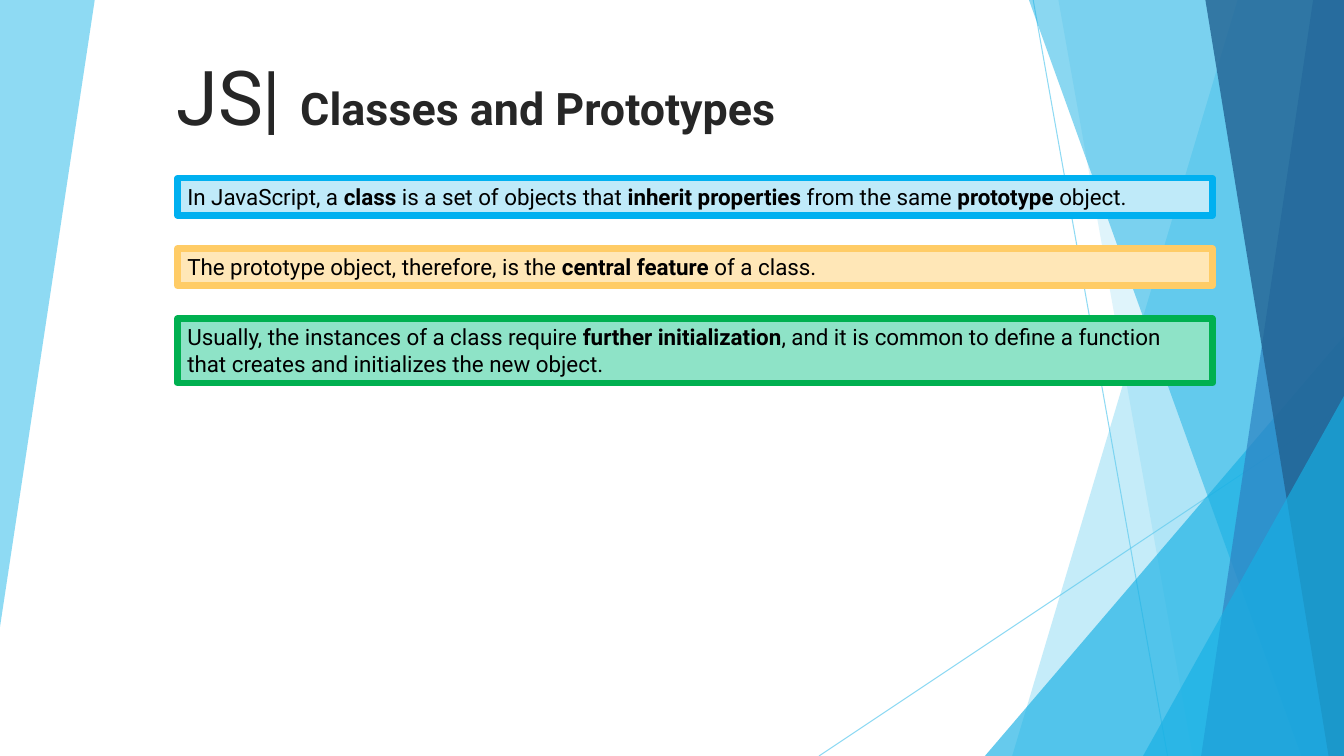
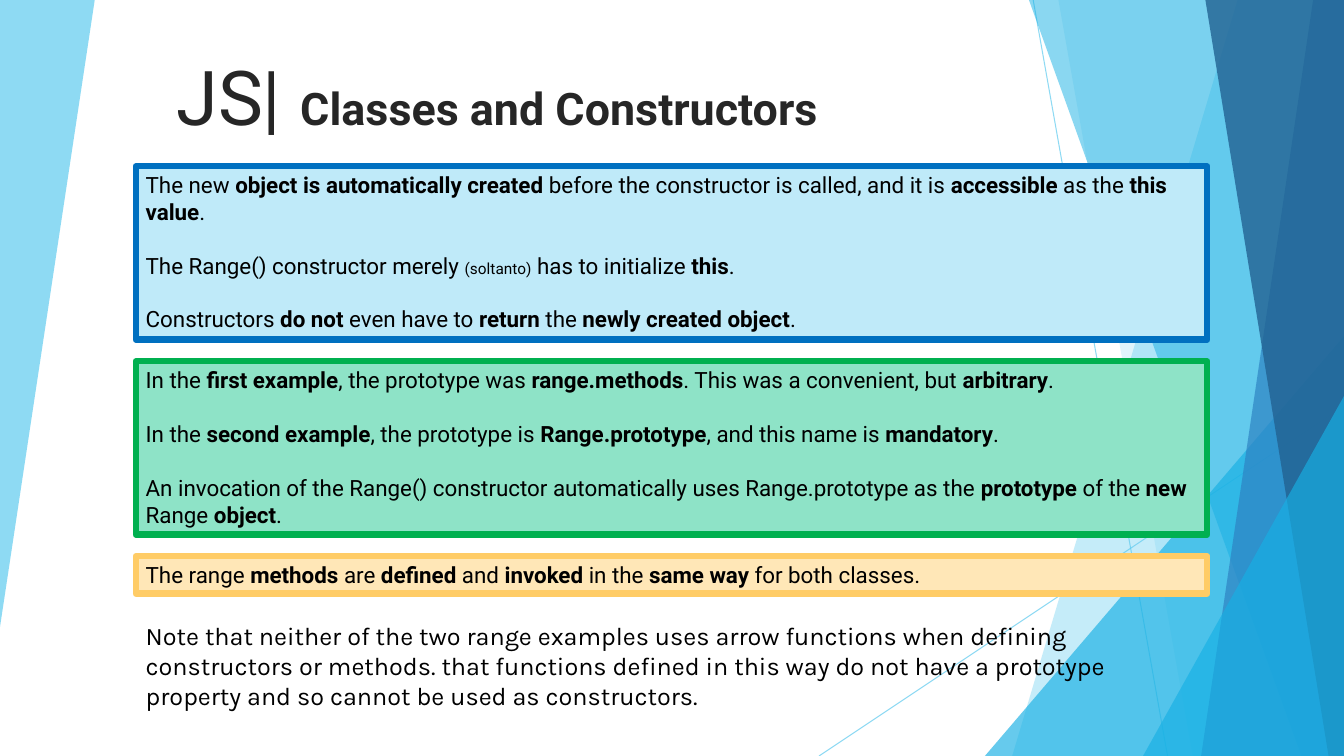
"""Build two slides on JavaScript classes, prototypes and constructors."""
from dataclasses import dataclass
from typing import NamedTuple

from lxml import etree
from pptx import Presentation
from pptx import util as u
from pptx.dml.color import RGBColor
from pptx.enum import shapes, text
from pptx.oxml import ns

WIDE, HIGH = 960, 540
INK, DARK = "000000", "262626"
SKY, CYAN, BLUE, NAVY = "5FCBEF", "17B0E4", "2E83C3", "226292"
LINE_GAP = 19.2


class Bit(NamedTuple):
    """A run of text with one look."""
    words: str
    bold: bool = False
    size: float = 16
    face: str = "Roboto"
    tone: str = INK


class Look(NamedTuple):
    """The fill and frame of a box."""
    fill: str
    edge: str


class Shard(NamedTuple):
    """A band against the right edge, from a top x to a foot x."""
    top: float
    foot: float
    tone: str
    alpha: int


class Peak(NamedTuple):
    """A triangle that fills the lower right corner."""
    left: float
    top: float
    tone: str
    alpha: int


@dataclass
class Box:
    """A block of paragraphs, framed when it has a look."""
    high: float
    paras: list[list[Bit]]
    look: Look | None = None


@dataclass
class Page:
    """A slide with a title and a stack of boxes."""
    title: str
    left: float
    top: float
    wide: float
    gap: float
    boxes: list[Box]


AQUA = Look("BFEAF9", "00B0F0")
AZURE = Look("BFEAF9", "0070C0")
GREEN = Look("8EE3C7", "00B050")
AMBER = Look("FFE7B7", "FFCC66")

RAYS = [((738, 0), (834, HIGH)), ((WIDE, 290), (585, HIGH))]
DECOR = [
    Shard(884, 723, SKY, 36),
    Shard(756, 852, SKY, 20),
    Peak(703.5, 240, CYAN, 66),
    Shard(735, 929.5, CYAN, 50),
    Shard(938, 858, BLUE, 70),
    Shard(861, 949, NAVY, 80),
    Peak(816.5, 283, CYAN, 66),
]


def bold(words: str) -> Bit:
    """Return a bold run."""
    return Bit(words, True)


PAGES = [
    Page("Classes and Prototypes", 126.7, 127.4, 739.5, 23.5, [
        Box(26.6, [[
            Bit("In JavaScript, a "), bold("class"),
            Bit(" is a set of objects that "), bold("inherit properties"),
            Bit(" from the same "), bold("prototype"), Bit(" object."),
        ]], AQUA),
        Box(26.6, [[
            Bit("The prototype object, therefore, is the "),
            bold("central feature "), Bit("of a class."),
        ]], AMBER),
        Box(46, [[
            Bit("Usually, the instances of a class require "),
            bold("further initialization"),
            Bit(", and it is common to define a function that creates and "
                "initializes the new object."),
        ]], GREEN),
    ]),
    Page("Classes and Constructors", 97, 118.8, 765.4, 15.5, [
        Box(123.8, [
            [Bit("The new "), bold("object is automatically created"),
             Bit(" before the constructor is called, and it is "),
             bold("accessible"), Bit(" as the "), bold("this value"), Bit(".")],
            [Bit("The Range() constructor merely "),
             Bit("(soltanto)", size=11), Bit(" has to initialize "),
             bold("this"), Bit(".")],
            [Bit("Constructors "), bold("do not"), Bit(" even have to "),
             bold("return "), Bit("the "), bold("newly created object"),
             Bit(".")],
        ], AZURE),
        Box(123.8, [
            [Bit("In the "), bold("first example"),
             Bit(", the prototype was "), bold("range.methods"),
             Bit(". This was a convenient, but "), bold("arbitrary"),
             Bit(".")],
            [Bit("In the "), bold("second example"),
             Bit(", the prototype is "), bold("Range.prototype"),
             Bit(", and this name is "), bold("mandatory"), Bit(".")],
            [Bit("An invocation of the Range() constructor automatically "
                 "uses Range.prototype as the "), bold("prototype"),
             Bit(" of the "), bold("new"), Bit(" Range "), bold("object"),
             Bit(".")],
        ], GREEN),
        Box(26.6, [[
            Bit("The range "), bold("methods"), Bit(" are "),
            bold("defined"), Bit(" and "), bold("invoked"), Bit(" in the "),
            bold("same way "), Bit("for both classes."),
        ]], AMBER),
        Box(72.7, [[
            Bit("Note that neither of the two range examples uses arrow "
                "functions when defining constructors or methods. that "
                "functions defined in this way do not have a prototype "
                "property and so cannot be used as constructors.",
                size=18, face="Karla"),
        ]]),
    ]),
]


def paint(part, tone: str) -> None:
    """Give a fill or a line format a solid colour."""
    part.solid()
    part.fore_color.rgb = RGBColor.from_string(tone)


def fade(shape, alpha: int) -> None:
    """Set the opacity of a shape's colours in percent."""
    for clr in shape.element.spPr.iter(ns.qn("a:srgbClr")):
        etree.SubElement(clr, ns.qn("a:alpha"), val=str(alpha * 1000))


def glaze(shape, tone: str, alpha: int):
    """Fill a shape with a sheer colour and no outline."""
    shape.shadow.inherit = False
    paint(shape.fill, tone)
    shape.line.fill.background()
    fade(shape, alpha)
    return shape


def poly(slide, pts: list[tuple[float, float]]):
    """Draw a closed outline through points."""
    first, *rest = [(u.Pt(x), u.Pt(y)) for x, y in pts]
    pen = slide.shapes.build_freeform(*first, scale=1.0)
    pen.add_line_segments(rest, close=True)
    return pen.convert_to_shape()


def ray(slide, start: tuple[float, float], end: tuple[float, float]):
    """Draw a thin sheer line."""
    line = slide.shapes.add_connector(
        shapes.MSO_CONNECTOR.STRAIGHT, *(u.Pt(v) for v in (*start, *end)))
    line.line.width = u.Pt(0.75)
    paint(line.line.fill, SKY)
    fade(line, 70)
    etree.SubElement(line.element.spPr, ns.qn("a:effectLst"))
    return line


def facet(slide, item: Shard | Peak):
    """Draw one band or triangle of the right side."""
    if isinstance(item, Shard):
        shape = poly(slide, [(item.top, 0), (WIDE, 0), (WIDE, HIGH),
                             (item.foot, HIGH)])
    else:
        shape = slide.shapes.add_shape(
            shapes.MSO_SHAPE.ISOSCELES_TRIANGLE, u.Pt(item.left),
            u.Pt(item.top), u.Pt(WIDE - item.left), u.Pt(HIGH - item.top))
        shape.adjustments[0] = 1
    return glaze(shape, item.tone, item.alpha)


def dress(layout, slide) -> None:
    """Draw the shared decor and move it to the layout."""
    for spot in list(layout.placeholders):
        if spot.placeholder_format.idx >= 10:
            layout.shapes.element.remove(spot.element)
    parts = [glaze(poly(slide, [(0, 0), (67.7, 0), (0, 448)]), SKY, 70)]
    parts += [ray(slide, *ends) for ends in RAYS]
    parts += [facet(slide, item) for item in DECOR]
    for part in parts:
        layout.shapes.element.append(part.element)


def write(para, bits: list[Bit]) -> None:
    """Add runs to a left-aligned paragraph."""
    para.alignment = text.PP_ALIGN.LEFT
    for bit in bits:
        run = para.add_run()
        run.text = bit.words
        run.font.name = bit.face
        run.font.size = u.Pt(bit.size)
        run.font.bold = bit.bold
        run.font.color.rgb = RGBColor.from_string(bit.tone)


def head(slide, words: str) -> None:
    """Place and fill the title."""
    title = slide.shapes.title
    title.left, title.top = u.Pt(118.8), u.Pt(27.4)
    title.width, title.height = u.Pt(611.3), u.Pt(76.3)
    frame = title.text_frame
    frame.auto_size = text.MSO_AUTO_SIZE.NONE
    frame.vertical_anchor = text.MSO_ANCHOR.BOTTOM
    write(frame.paragraphs[0], [Bit("JS| ", size=54, tone=DARK),
                                Bit(words, True, 32, tone=DARK)])


def block(slide, page: Page, box: Box, top: float) -> None:
    """Draw one box of a page."""
    area = [u.Pt(v) for v in (page.left, top, page.wide, box.high)]
    if box.look:
        shape = slide.shapes.add_shape(shapes.MSO_SHAPE.RECTANGLE, *area)
        shape.shadow.inherit = False
        paint(shape.fill, box.look.fill)
        paint(shape.line.fill, box.look.edge)
        shape.line.width = u.Pt(4.5)
        edge = shape.element.spPr.find(ns.qn("a:ln"))
        etree.SubElement(edge, ns.qn("a:round"))
    else:
        shape = slide.shapes.add_textbox(*area)
    frame = shape.text_frame
    frame.word_wrap = True
    frame.auto_size = text.MSO_AUTO_SIZE.SHAPE_TO_FIT_TEXT
    frame.vertical_anchor = text.MSO_ANCHOR.TOP
    for i, bits in enumerate(box.paras):
        para = frame.add_paragraph() if i else frame.paragraphs[0]
        if i:
            para.space_before = u.Pt(LINE_GAP)
        write(para, bits)


def main() -> None:
    """Build and save the slides."""
    deck = Presentation()
    deck.slide_width, deck.slide_height = u.Pt(WIDE), u.Pt(HIGH)
    layout = deck.slide_layouts[5]
    for i, page in enumerate(PAGES):
        slide = deck.slides.add_slide(layout)
        if i == 0:
            dress(layout, slide)
        head(slide, page.title)
        top = page.top
        for box in page.boxes:
            block(slide, page, box, top)
            top += box.high + page.gap
    deck.save("out.pptx")


if __name__ == "__main__":
    main()
